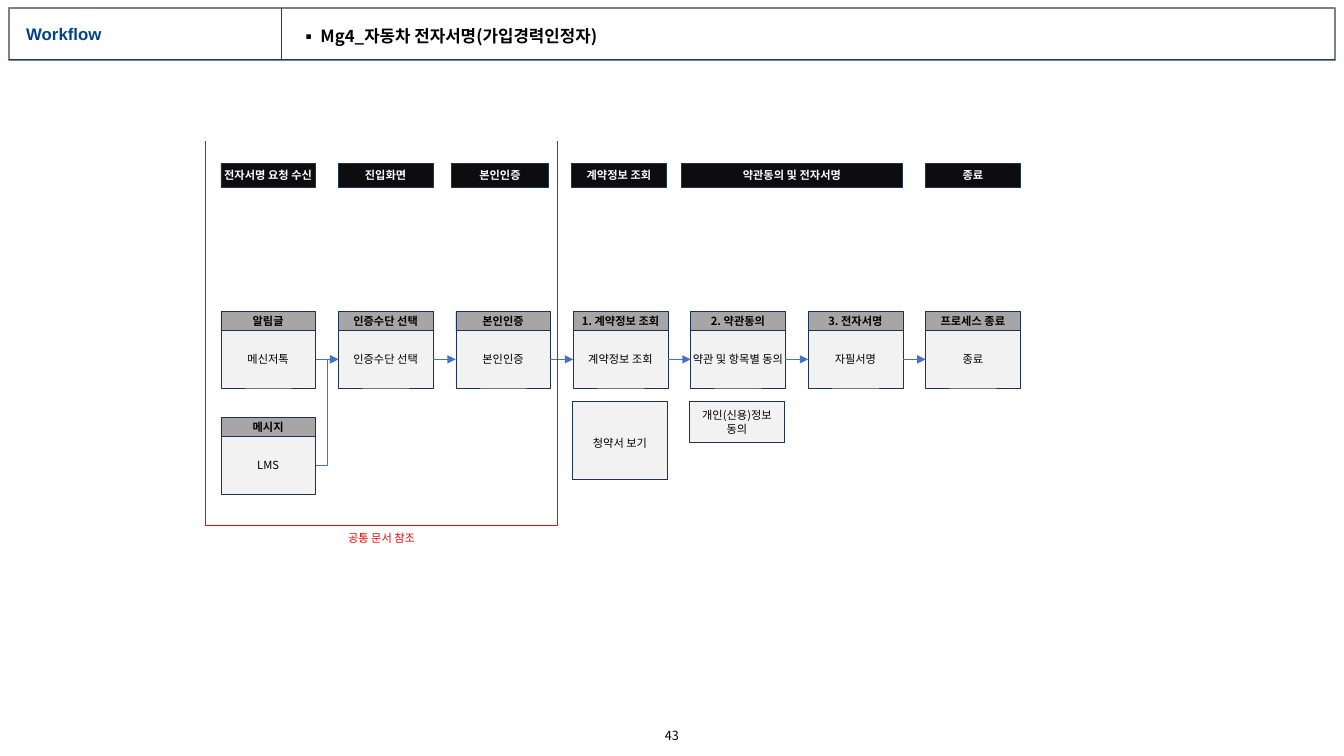
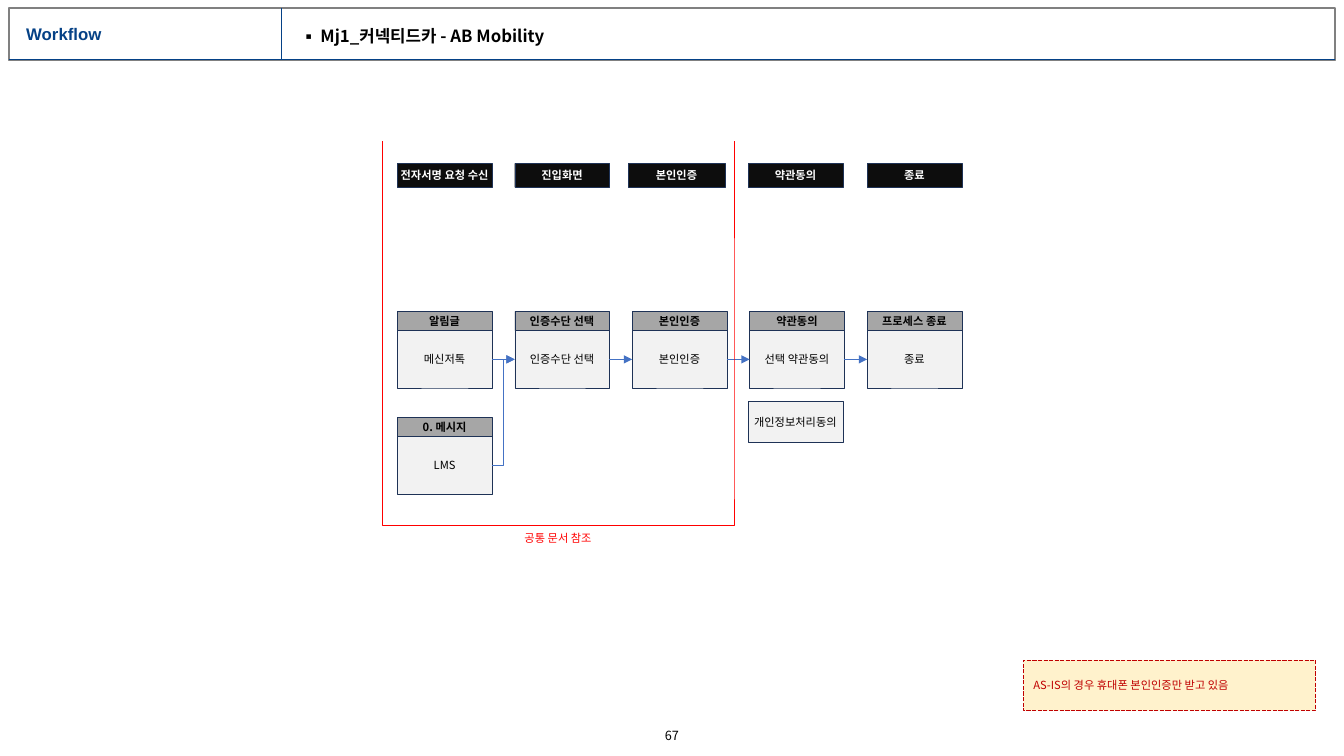
"""Build two workflow slides with a shared header and card grid."""
from pptx import Presentation
from pptx.dml.color import RGBColor
from pptx.enum import dml, shapes, text
from pptx.oxml import ns, xmlchemy
from pptx.util import Inches, Pt

NAVY = RGBColor(0x05, 0x41, 0x86)
EDGE = RGBColor(0x1E, 0x32, 0x56)
BLUE = RGBColor(0x44, 0x72, 0xC4)
BLACK = RGBColor(0, 0, 0)
WHITE = RGBColor(255, 255, 255)
INK = RGBColor(0x0D, 0x0D, 0x0D)
GRAY = RGBColor(0x80, 0x80, 0x80)
MID = RGBColor(0xA6, 0xA6, 0xA6)
PALE = RGBColor(0xF2, 0xF2, 0xF2)
RED = RGBColor(255, 0, 0)
BRICK = RGBColor(0xC0, 0, 0)
CREAM = RGBColor(0xFF, 0xF2, 0xCC)

LATIN = "Arial"
HANGUL = "Noto Sans CJK KR"
STEP = 1.165
WIDE = 0.94
CENTER = text.PP_ALIGN.CENTER
LEFT = text.PP_ALIGN.LEFT
MIDDLE = text.MSO_ANCHOR.MIDDLE
RECT = shapes.MSO_SHAPE.RECTANGLE
LINE = shapes.MSO_CONNECTOR.STRAIGHT
ELBOW = shapes.MSO_CONNECTOR.ELBOW


def add_xml(parent, tag, **attrs):
    """Append a drawing element with attributes."""
    child = xmlchemy.OxmlElement(tag)
    for key, value in attrs.items():
        child.set(key, value)
    parent.append(child)
    return child


def add_run(para, words, size, color, bold=False, face=HANGUL):
    """Add one formatted run."""
    run = para.add_run()
    run.text = words
    run.font.size = Pt(size)
    run.font.bold = bold
    run.font.color.rgb = color
    run.font.name = face
    add_xml(run._r.get_or_add_rPr(), "a:ea", typeface=face)


def write(shape, words, color, size=8, bold=False, align=CENTER, wrap=False,
          inset=None, space=None):
    """Fill a shape with text, one paragraph a line."""
    frame = shape.text_frame
    frame.word_wrap = wrap
    frame.vertical_anchor = MIDDLE
    if inset is not None:
        frame.margin_left = frame.margin_right = Inches(inset)
        frame.margin_top = frame.margin_bottom = Inches(inset)
    for i, row in enumerate(words.split("\n")):
        para = frame.add_paragraph() if i else frame.paragraphs[0]
        para.alignment = align
        para.line_spacing = space
        add_run(para, row, size, color, bold)


def add_box(slide, x, y, w, h, fill=None, edge=EDGE, width=0.25, kind=RECT):
    """Add an outlined shape without shadow."""
    box = slide.shapes.add_shape(kind, Inches(x), Inches(y), Inches(w), Inches(h))
    box.shadow.inherit = False
    if fill is None:
        box.fill.background()
    else:
        box.fill.solid()
        box.fill.fore_color.rgb = fill
    box.line.color.rgb = edge
    box.line.width = Pt(width)
    return box


def add_text(slide, x, y, w, h):
    """Add an empty text box."""
    return slide.shapes.add_textbox(Inches(x), Inches(y), Inches(w), Inches(h))


def add_line(slide, ends, color, width, kind=LINE):
    """Add a flat connector between two points."""
    line = slide.shapes.add_connector(kind, *ends)
    line.line.color.rgb = color
    line.line.width = Pt(width)
    add_xml(line._element.spPr, "a:effectLst")
    return line


def add_link(slide, start, end, kind=LINE):
    """Join the right side of one card to the left side of another."""
    ends = (start.left + start.width, start.top + start.height // 2,
            end.left, end.top + end.height // 2)
    link = add_line(slide, ends, BLUE, 0.5, kind)
    link.begin_connect(start, 3)
    link.end_connect(end, 1)
    add_xml(link._element.spPr.find(ns.qn("a:ln")), "a:tailEnd", type="triangle")


def add_head(slide, topic, number):
    """Add the header band, title, topic and page number."""
    add_box(slide, 0.09, 0.08, 13.15, 0.52, edge=GRAY, width=1)
    for ends in ((0.09, 0.59, 13.24, 0.59), (2.79, 0.08, 2.79, 0.59)):
        add_line(slide, [Inches(v) for v in ends], NAVY, 1)
    title = slide.shapes.title
    title.left, title.top = Inches(0.16), Inches(0.21)
    title.width, title.height = Inches(2.53), Inches(0.28)
    frame = title.text_frame
    frame.auto_size = text.MSO_AUTO_SIZE.NONE
    frame.vertical_anchor = text.MSO_ANCHOR.TOP
    para = frame.paragraphs[0]
    para.alignment = LEFT
    para.line_spacing = 0.9
    add_run(para, "Workflow", 12, NAVY, True, LATIN)

    label = add_text(slide, 2.88, 0.24, 7.65, 0.26)
    props = label.text_frame.paragraphs[0]._p.get_or_add_pPr()
    props.set("marL", str(Inches(0.2)))
    props.set("indent", str(-Inches(0.2)))
    add_xml(props, "a:buFont", typeface=HANGUL)
    add_xml(props, "a:buChar", char="▪")
    write(label, topic, BLACK, 12, True, LEFT, wrap=True, space=0.9)
    write(add_text(slide, 6.5, 7.22, 0.33, 0.15), number, BLACK, 9, inset=0)


def add_bar(slide, x, words, w=WIDE):
    """Add a black stage label."""
    write(add_box(slide, x, 1.62, w, 0.24, INK), words, WHITE, bold=True)


def add_card(slide, x, y, head, body):
    """Add a captioned card and return its body."""
    box = add_box(slide, x, y + 0.19, WIDE, 0.57, PALE)
    write(box, body, BLACK)
    write(add_box(slide, x, y, WIDE, 0.19, MID), head, BLACK, bold=True)
    return box


def add_side(slide, x, h, words, space=None):
    """Add a plain card under the main row."""
    write(add_box(slide, x, 3.98, WIDE, h, PALE), words, BLACK, space=space)


def add_flow(slide, left, cards, message):
    """Add the shared entry stages and the linked row of cards."""
    add_bar(slide, left, "전자서명 요청 수신")
    add_bar(slide, left + STEP, "진입화면")
    add_bar(slide, left + 2.29, "본인인증", 0.96)
    cards = [("알림글", "메신저톡"), ("인증수단 선택",) * 2, ("본인인증",) * 2] + cards
    row = [add_card(slide, left + i * STEP, 3.09, *card)
           for i, card in enumerate(cards)]
    for start, end in zip(row, row[1:]):
        add_link(slide, start, end)
    add_link(slide, add_card(slide, left, 4.14, message, "LMS"), row[1], ELBOW)
    frame = add_box(slide, left - 0.31, 1.56, 3.81, 3.49, edge=RED, width=0.5,
                    kind=shapes.MSO_SHAPE.RIGHT_BRACKET)
    frame.adjustments[0] = 0
    frame.rotation = 90
    write(add_text(slide, left + 1.25, 5.27, 0.69, 0.13), "공통 문서 참조", RED, inset=0)


def sign_slide(slide):
    """Build the car signature workflow."""
    add_head(slide, "Mg4_자동차 전자서명(가입경력인정자)", "43")
    add_flow(slide, 2.19, [("1. 계약정보 조회", "계약정보 조회"),
                           ("2. 약관동의", "약관 및 항목별 동의"),
                           ("3. 전자서명", "자필서명"),
                           ("프로세스 종료", "종료")], "메시지")
    add_bar(slide, 5.67, "계약정보 조회")
    add_bar(slide, 6.76, "약관동의 및 전자서명", 2.19)
    add_bar(slide, 9.18, "종료")
    add_side(slide, 5.68, 0.77, "청약서 보기", 1.5)
    add_side(slide, 6.84, 0.41, "개인(신용)정보\n동의")


def car_slide(slide):
    """Build the connected car workflow."""
    add_head(slide, "Mj1_커넥티드카 - AB Mobility", "67")
    add_flow(slide, 3.94, [("약관동의", "선택 약관동의"),
                           ("프로세스 종료", "종료")], "0. 메시지")
    add_bar(slide, 7.42, "약관동의")
    add_bar(slide, 8.6, "종료")
    add_side(slide, 7.42, 0.41, "개인정보처리동의")
    note = add_box(slide, 10.15, 6.55, 2.9, 0.5, CREAM, BRICK, 1)
    note.line.dash_style = dml.MSO_LINE.SQUARE_DOT
    write(note, "AS-IS의 경우 휴대폰 본인인증만 받고 있음", BRICK, align=LEFT, wrap=True)


def main():
    """Build and save the deck."""
    deck = Presentation()
    deck.slide_width, deck.slide_height = Inches(13.33), Inches(7.5)
    for build in (sign_slide, car_slide):
        build(deck.slides.add_slide(deck.slide_layouts[5]))
    deck.save("out.pptx")


if __name__ == "__main__":
    main()
